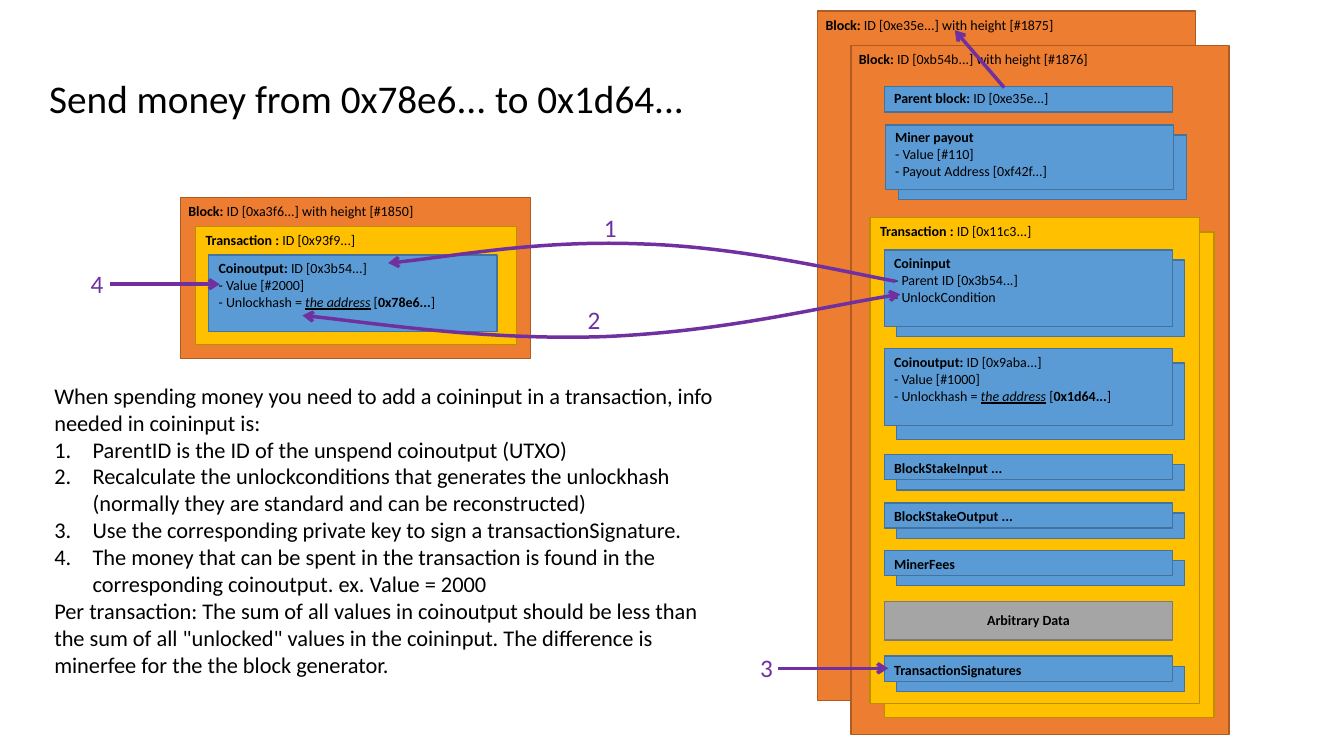
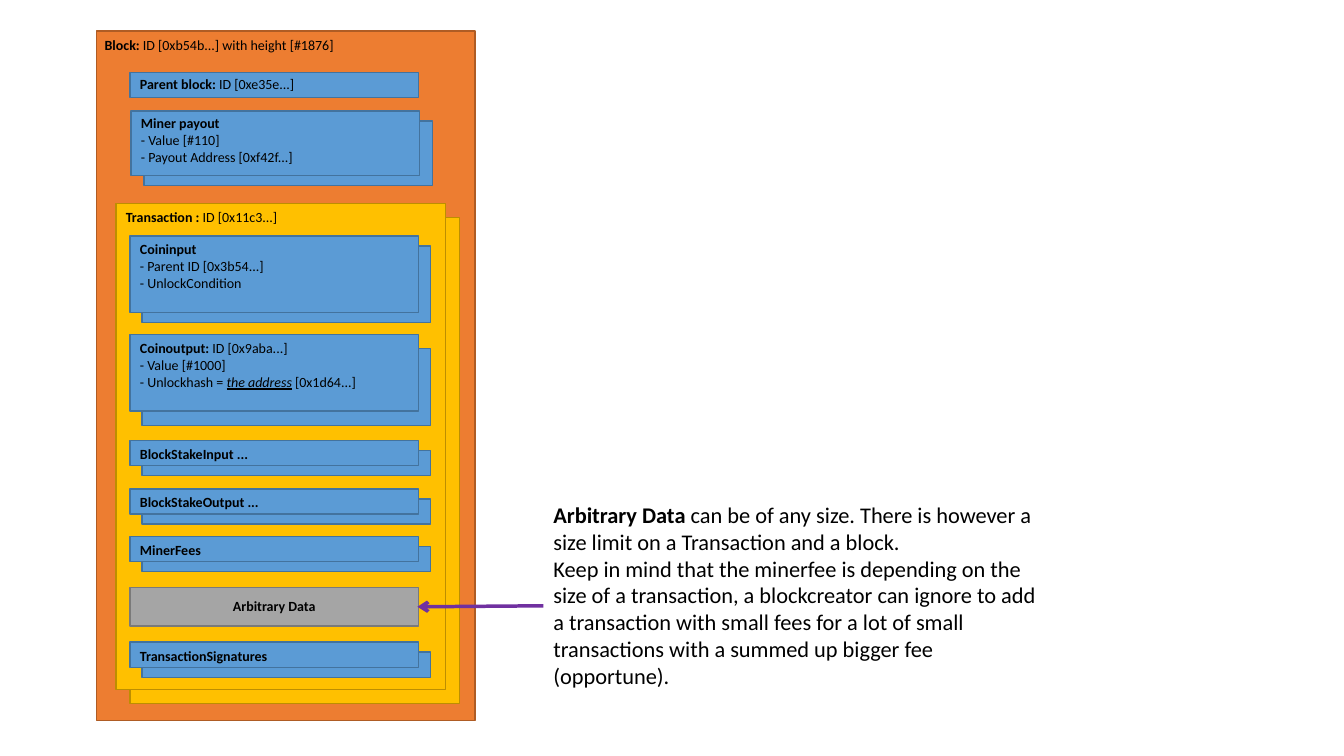
"""Build two slides that explain how a transaction spends coins inside a block."""
import pptx
import pptx.dml.color
import pptx.enum.shapes
import pptx.enum.text
import pptx.oxml
import pptx.oxml.ns
import pptx.util

Inches, Pt = pptx.util.Inches, pptx.util.Pt
FONT, BLACK, PURPLE = "Calibri", "000000", "7030A0"
ARROW_WIDTH = 2.5
STYLES = {
    "block": ("ED7D31", "AF5C24"),
    "transaction": ("FFC000", "BD8E00"),
    "part": ("5B9BD5", "43739E"),
    "data": ("A5A5A5", "7A7A7A"),
}
BLOCK_SIZE = (3.75, 6.84)
TRANSACTION_SIZE = (3.27, 4.82)
PART_WIDTH, PART_INDENT = 2.86, 0.33
TALL, LOW = 0.76, 0.25


def titled(name, rest=""):
    return [(name, "b"), (rest, "")] if rest else [(name, "b")]


def plain(text):
    return [(text, "")]


def coin_output(identity, value, address, address_style):
    return [titled("Coinoutput: ", f"ID [{identity}]"), plain(f"- Value [#{value}]"),
            [("- Unlockhash = ", ""), ("the address", "iu"), (" [", ""),
             (address, address_style), ("]", "")]]


def block_title(identity, height):
    return [titled("Block: ", f"ID [{identity}] with height [#{height}]")]


def transaction_title(identity):
    return [titled("Transaction : ", f"ID [{identity}]")]


MINER_PAYOUT = [titled("Miner payout"), plain("- Value [#110]"),
                plain("- Payout Address [0xf42f...]")]
COIN_INPUT = [titled("Coininput"), plain("- Parent ID [0x3b54...]"), plain("- UnlockCondition")]
LOW_PARTS = [
    (4.06, "BlockStakeInput ..."),
    (4.54, "BlockStakeOutput ..."),
    (5.01, "MinerFees"),
    (6.06, "TransactionSignatures"),
]

TITLE = [plain("Send money from 0x78e6... to 0x1d64...")]
SPENDING_INTRO = plain("When spending money you need to add a coininput in a transaction, "
                       "info needed in coininput is:")
SPENDING_STEPS = [
    plain("ParentID is the ID of the unspend coinoutput (UTXO) "),
    plain("Recalculate the unlockconditions that generates the unlockhash "
          "(normally they are standard and can be reconstructed)"),
    plain("Use the corresponding private key to sign a transactionSignature."),
    plain("The money that can be spent in the transaction is found in the "
          "corresponding coinoutput. ex. Value = 2000"),
]
SPENDING_SUM = plain("Per transaction: The sum of all values in coinoutput should be less than "
                     "the sum of all \"unlocked\" values in the coininput. The difference is "
                     "minerfee for the the block generator.")
DATA_NOTE = [
    titled("Arbitrary Data", " can be of any size. There is however a size limit on a "
                             "Transaction and a block."),
    plain("Keep in mind that the minerfee is depending on the size of a transaction, a "
          "blockcreator can ignore to add a transaction with small fees for a lot of small "
          "transactions with a summed up bigger fee (opportune)."),
]

STEP_NUMBERS = [("1", 5.89, 2.06), ("2", 5.73, 2.97), ("3", 7.44, 6.42), ("4", 0.8, 2.61)]
STEP_ARROWS = [
    ((9.96, 0.87), (9.47, 0.3)),
    ((7.72, 6.63), (8.81, 6.63)),
    ((1.09, 2.82), (2.18, 2.82)),
]
PARENT_CURVE = [(8.88, 2.79), (8.43, 2.71), (7.37, 2.45), (6.36, 2.42),
                (5.36, 2.38), (4.48, 2.55), (3.85, 2.61)]
UNLOCK_CURVE = [(3, 3.13), (3.54, 3.18), (4.81, 3.38), (5.99, 3.34),
                (7.18, 3.29), (8.2, 3.03), (8.93, 2.92)]


def color(value):
    return pptx.dml.color.RGBColor.from_string(value)


def element(tag, **attributes):
    node = pptx.oxml.parse_xml(f"<a:{tag} {pptx.oxml.ns.nsdecls('a')}/>")
    for name, value in attributes.items():
        node.set(name, value)
    return node


def add_text(page, left, top, width, height, paragraphs, size=10, tint=BLACK, wrap=True):
    box = page.shapes.add_textbox(Inches(left), Inches(top), Inches(width), Inches(height))
    frame = box.text_frame
    frame.word_wrap = wrap
    frame.auto_size = pptx.enum.text.MSO_AUTO_SIZE.SHAPE_TO_FIT_TEXT
    for index, spans in enumerate(paragraphs):
        para = frame.add_paragraph() if index else frame.paragraphs[0]
        for text, style in spans:
            span = para.add_run()
            span.text = text
            font = span.font
            font.name, font.size, font.color.rgb = FONT, Pt(size), color(tint)
            font.bold, font.italic, font.underline = ("b" in style, "i" in style, "u" in style)
    return box


def add_panel(page, left, top, width, height, style):
    fill, line = STYLES[style]
    panel = page.shapes.add_shape(pptx.enum.shapes.MSO_SHAPE.RECTANGLE, Inches(left),
                                  Inches(top), Inches(width), Inches(height))
    panel.shadow.inherit = False
    panel.fill.solid()
    panel.fill.fore_color.rgb = color(fill)
    panel.line.color.rgb = color(line)
    panel.line.width = Pt(1)


def add_card(page, left, top, width, height, style, paragraphs, behind=None, text_shift=(0, 0)):
    if behind:
        add_panel(page, left + behind[0], top + behind[1], width, height, style)
    add_panel(page, left, top, width, height, style)
    text_height = 0.61 if len(paragraphs) > 1 else 0.28
    return add_text(page, left + text_shift[0], top + text_shift[1], width - text_shift[0],
                    text_height, paragraphs)


def add_block(page, left, top, size, title):
    add_card(page, left, top, *size, "block", title, text_shift=(-0.02, 0))


def add_full_block(page, left, top, address_style):
    part_left = left + PART_INDENT
    add_block(page, left, top, BLOCK_SIZE, block_title("0xb54b...", 1876))
    add_card(page, part_left, top + 0.41, PART_WIDTH, LOW, "part",
             [titled("Parent block: ", "ID [0xe35e...]")], text_shift=(0, -0.02))
    add_card(page, part_left + 0.01, top + 0.79, PART_WIDTH, 0.64, "part", MINER_PAYOUT,
             (0.13, 0.1), (0, -0.01))
    add_card(page, left + 0.19, top + 1.71, *TRANSACTION_SIZE, "transaction",
             transaction_title("0x11c3..."), (0.14, 0.14))
    add_card(page, part_left, top + 2.03, PART_WIDTH, TALL, "part", COIN_INPUT, (0.12, 0.1))
    add_card(page, part_left, top + 3.01, PART_WIDTH, TALL, "part",
             coin_output("0x9aba...", 1000, "0x1d64...", address_style), (0.12, 0.14))
    for offset, name in LOW_PARTS:
        add_card(page, part_left, top + offset, PART_WIDTH, LOW, "part", [titled(name)],
                 (0.12, 0.1))
    data = add_card(page, part_left, top + 5.52, PART_WIDTH, 0.38, "data",
                    [titled("Arbitrary Data")], text_shift=(0, 0.05))
    data.text_frame.paragraphs[0].alignment = pptx.enum.text.PP_ALIGN.CENTER


def style_arrow(arrow, ends=("tailEnd",)):
    arrow.line.color.rgb = color(PURPLE)
    arrow.line.width = Pt(ARROW_WIDTH)
    outline = arrow.element.spPr.find(pptx.oxml.ns.qn("a:ln"))
    for end in ends:
        outline.append(element(end, type="arrow"))


def add_arrow(page, start, end):
    arrow = page.shapes.add_connector(pptx.enum.shapes.MSO_CONNECTOR.STRAIGHT,
                                      *(Inches(value) for value in start + end))
    style_arrow(arrow)
    arrow.element.spPr.append(element("effectLst"))


def add_curve(page, points, ends):
    start, *rest = [(Inches(x), Inches(y)) for x, y in points]
    builder = page.shapes.build_freeform(*start)
    builder.add_line_segments(rest, close=False)
    curve = builder.convert_to_shape()
    segments = list(curve.element.iter(pptx.oxml.ns.qn("a:lnTo")))
    for first in range(0, len(segments), 3):
        bezier = element("cubicBezTo")
        segments[first].addprevious(bezier)
        for segment in segments[first:first + 3]:
            bezier.append(segment[0])
            segment.getparent().remove(segment)
    curve.shadow.inherit = False
    curve.fill.background()
    style_arrow(curve, ends)


def number_paragraph(para):
    properties = para._p.get_or_add_pPr()
    properties.set("marL", str(Inches(0.38)))
    properties.set("indent", str(-Inches(0.38)))
    properties.append(element("buFont", typeface="+mj-lt"))
    properties.append(element("buAutoNum", type="arabicPeriod"))


def build_spending_page(page):
    add_block(page, 8.11, 0.11, BLOCK_SIZE, block_title("0xe35e...", 1875))
    add_full_block(page, 8.44, 0.45, "b")
    add_block(page, 1.79, 1.96, (3.47, 1.6), block_title("0xa3f6...", 1850))
    add_card(page, 1.94, 2.25, 3.18, 1.17, "transaction", transaction_title("0x93f9..."))
    add_card(page, 2.07, 2.53, PART_WIDTH, TALL, "part",
             coin_output("0x3b54...", 2000, "0x78e6...", "b"))
    title = add_text(page, 0.39, -0.03, 9.57, 1.29, TITLE, 28)
    title.text_frame.auto_size = pptx.enum.text.MSO_AUTO_SIZE.NONE
    title.text_frame.vertical_anchor = pptx.enum.text.MSO_ANCHOR.BOTTOM
    title.text_frame.paragraphs[0].line_spacing = 0.9
    body = add_text(page, 0.44, 3.74, 6.75, 3.58,
                    [SPENDING_INTRO, *SPENDING_STEPS, SPENDING_SUM], 16)
    for para in body.text_frame.paragraphs[1:-1]:
        number_paragraph(para)
    add_curve(page, PARENT_CURVE, ("tailEnd",))
    add_curve(page, UNLOCK_CURVE, ("headEnd", "tailEnd"))
    for number, left, top in STEP_NUMBERS:
        add_text(page, left, top, 0.33, 0.42, [plain(number)], 18, PURPLE, wrap=False)
    for start, end in STEP_ARROWS:
        add_arrow(page, start, end)


def build_data_page(page):
    add_full_block(page, 0.96, 0.31, "")
    add_text(page, 5.39, 4.92, 5.06, 2.25, DATA_NOTE, 16)
    add_arrow(page, (5.39, 6.01), (4.14, 6.02))


deck = pptx.Presentation()
deck.slide_width, deck.slide_height = Inches(13.33), Inches(7.5)
for build_page in (build_spending_page, build_data_page):
    build_page(deck.slides.add_slide(deck.slide_layouts[6]))
deck.save("out.pptx")
